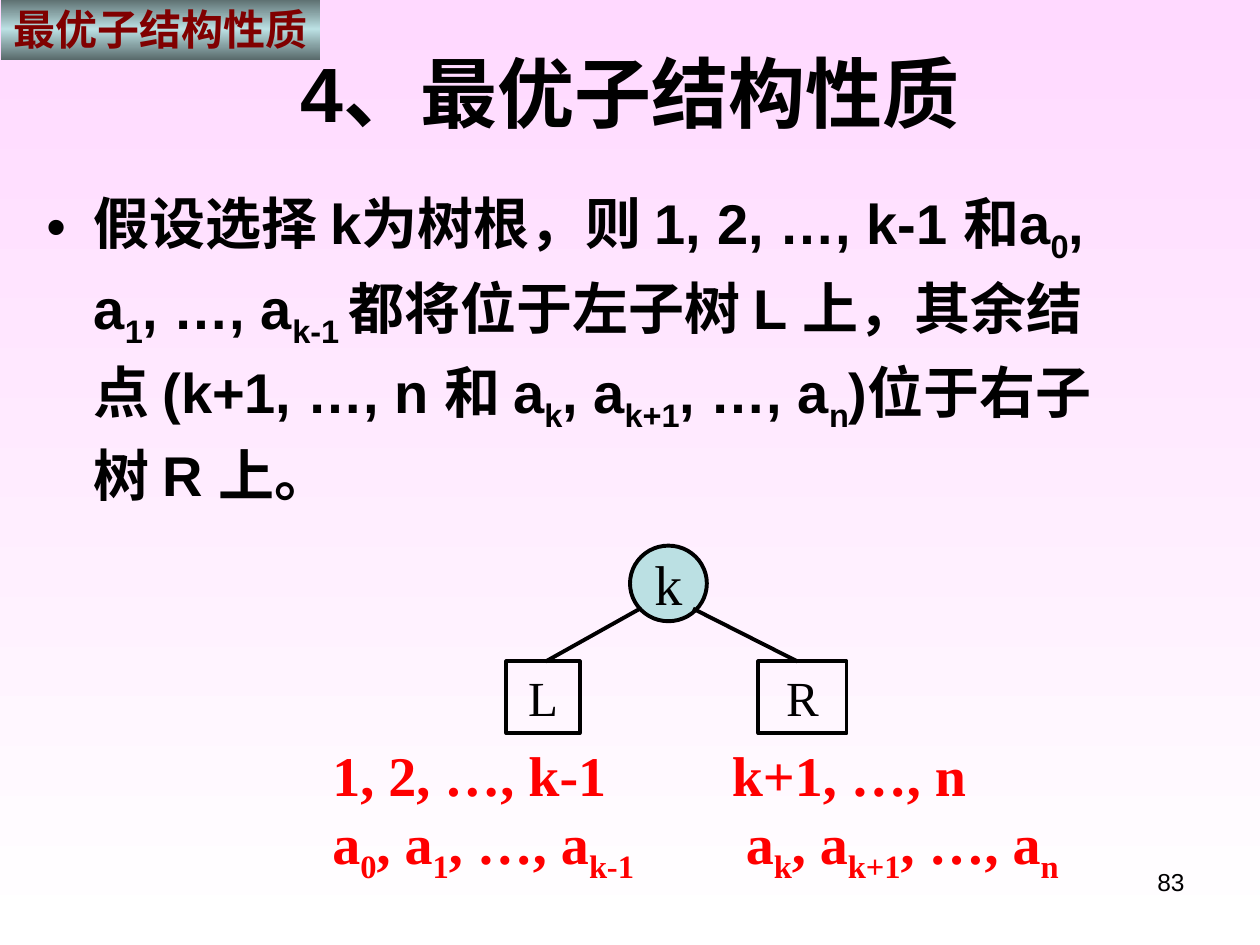
from copy import deepcopy

from lxml.etree import SubElement
from pptx import Presentation
from pptx.dml.color import RGBColor
from pptx.enum.shapes import MSO_CONNECTOR as Line, MSO_SHAPE as Shape
from pptx.enum.text import MSO_ANCHOR as Anchor, PP_ALIGN as Align
from pptx.oxml.ns import qn
from pptx.util import Pt

BLACK = RGBColor(0, 0, 0)
RED = RGBColor(0xFF, 0, 0)
MAROON = RGBColor(0x80, 0, 0)
PINK = RGBColor(0xFF, 0xD9, 0xFF)
WHITE = RGBColor(0xFF, 0xFF, 0xFF)
TEAL = RGBColor(0xBB, 0xE0, 0xE3)
SLATE = RGBColor(0x57, 0x68, 0x69)
SANS, SERIF = "Arial", "Times New Roman"


def write(par, text, size, face, color=BLACK, bold=False, align=Align.LEFT):
    """Fill a paragraph; every second part between bars is a subscript."""
    par.alignment = align
    font = par.font
    font.size, font.name, font.bold = Pt(size), face, bold
    font.color.rgb = color
    for i, part in enumerate(text.split("|")):
        if part:
            run = par.add_run()
            run.text = part
            if i % 2:
                run._r.get_or_add_rPr().set("baseline", "-25000")


def add_box(x, y, w, h):
    box = slide.shapes.add_textbox(Pt(x), Pt(y), Pt(w), Pt(h))
    box.text_frame.word_wrap = True
    return box.text_frame


prs = Presentation()
prs.slide_width, prs.slide_height = Pt(720), Pt(540)
slide = prs.slides.add_slide(prs.slide_layouts[5])

back = slide.background.fill
back.gradient()
back.gradient_angle = 270
for stop, color, pos in zip(back.gradient_stops, (PINK, WHITE), (0, 1)):
    stop.color.rgb, stop.position = color, pos

# Title
title = slide.shapes.title
title.left, title.top, title.width, title.height = Pt(36), Pt(21.6), Pt(648), Pt(61.2)
title.text_frame.vertical_anchor = Anchor.MIDDLE
write(title.text_frame.paragraphs[0], "4、最优子结构性质", 44, SANS,
      bold=True, align=Align.CENTER)

# Statement
par = add_box(19.4, 100.1, 612, 347.8).paragraphs[0]
par.line_spacing = 1.1
props = par._p.get_or_add_pPr()
props.set("marL", str(Pt(27)))
props.set("indent", str(Pt(-27)))
SubElement(props, qn("a:buFont")).set("typeface", SANS)
SubElement(props, qn("a:buChar")).set("char", "•")
write(par, "假设选择 k为树根，则 1, 2, …, k-1 和a|0|, a|1|, …, a|k-1 |"
      "都将位于左子树 L 上，其余结点 (k+1, …, n 和 a|k|, a|k+1|, …, a|n|)"
      "位于右子树 R 上。", 32, SANS, bold=True)

# Tree
nodes = [
    ("k", Shape.OVAL, 360, 311.8, 43.9, 43.2, 32),
    ("L", Shape.RECTANGLE, 289.4, 378, 41.8, 41, 28),
    ("R", Shape.RECTANGLE, 433.4, 378, 50.4, 41, 28),
]
for name, kind, x, y, w, h, size in nodes:
    node = slide.shapes.add_shape(kind, Pt(x), Pt(y), Pt(w), Pt(h))
    node.shadow.inherit = False
    node.line.color.rgb, node.line.width = BLACK, Pt(2.25)
    if kind == Shape.OVAL:
        node.fill.solid()
        node.fill.fore_color.rgb = TEAL
    else:
        node.fill.background()
    frame = node.text_frame
    frame.word_wrap = False
    frame.vertical_anchor = Anchor.MIDDLE
    write(frame.paragraphs[0], name, size, SERIF, align=Align.CENTER)

for x1, x2 in [(396, 455.8), (365.8, 311.8)]:
    edge = slide.shapes.add_connector(
        Line.STRAIGHT, Pt(x1), Pt(347.8), Pt(x2), Pt(378))
    edge.line.color.rgb, edge.line.width = BLACK, Pt(2.25)
    SubElement(edge._element.spPr, qn("a:effectLst"))

# Contents of the subtrees
lists = [
    (182.9, 200, 0, "1, 2, …, k-1", "a|0|, a|1|, …, a|k-1|"),
    (411.1, 215, 8, "k+1, …, n", "a|k|, a|k+1|, …, a|n|"),
]
for x, w, inset, keys, gaps in lists:
    frame = add_box(x, 419.8, w, 95)
    write(frame.paragraphs[0], keys, 32, SERIF, RED, True)
    par = frame.add_paragraph()
    par._p.get_or_add_pPr().set("marL", str(Pt(inset)))
    write(par, gaps, 32, SERIF, RED, True)

# Section tag
tag = slide.shapes.add_shape(Shape.RECTANGLE, Pt(0.7), Pt(-1.4), Pt(182.2), Pt(36))
tag.shadow.inherit = False
tag.line.fill.background()
tag.fill.gradient()
tag.fill.gradient_angle = 270
stops = tag._element.spPr.find(".//" + qn("a:gsLst"))
stops.append(deepcopy(stops[-1]))
for stop, color, pos in zip(tag.fill.gradient_stops, (SLATE, TEAL, SLATE), (0, 0.5, 1)):
    stop.color.rgb, stop.position = color, pos
tag.text_frame.word_wrap = False
tag.text_frame.vertical_anchor = Anchor.TOP
write(tag.text_frame.paragraphs[0], "最优子结构性质", 24, SANS, MAROON, True)

# Page number
write(add_box(516.2, 491.8, 167.8, 37.4).paragraphs[0], "83", 14, SANS, align=Align.RIGHT)

prs.save("out.pptx")
